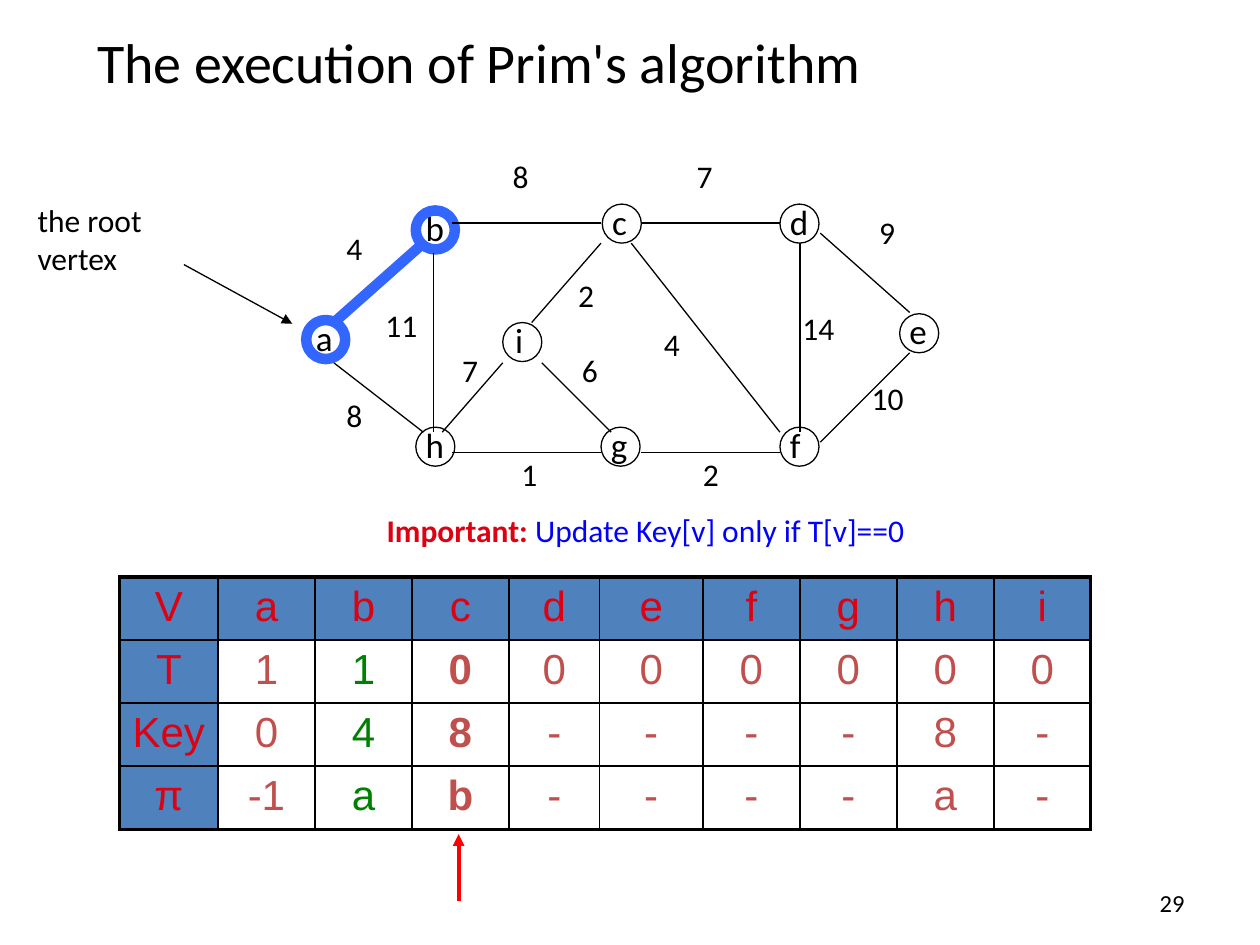
"""Build the slide that shows one step of Prim's algorithm on a weighted graph."""
from dataclasses import dataclass
from typing import Any

from lxml import etree
from pptx import Presentation, util as u
from pptx.dml.color import RGBColor
from pptx.enum import shapes, text
from pptx.oxml import ns

BLACK = RGBColor(0x00, 0x00, 0x00)
RED = RGBColor(0xFF, 0x00, 0x00)
CRIMSON = RGBColor(0xDD, 0x01, 0x11)
BRICK = RGBColor(0xC0, 0x50, 0x4D)
GREEN = RGBColor(0x00, 0x80, 0x00)
BLUE = RGBColor(0x00, 0x00, 0xFF)
TREE_BLUE = RGBColor(0x33, 0x66, 0xFF)
HEADER_BLUE = RGBColor(0x4F, 0x81, 0xBD)

THIN, MEDIUM, THICK = 0.75, 2.25, 6
NODE_SIZE = 0.31
BODY_FORMAT = {"name": "Calibri", "size": u.Pt(18)}
NODE_FORMAT = {"name": "Calibri", "size": u.Pt(20)}
TITLE_FORMAT = {"name": "Calibri", "size": u.Pt(32)}
NUMBER_FORMAT = {"name": "Calibri", "size": u.Pt(14)}
TABLE_FORMAT = {"name": "Arial", "size": u.Pt(24)}


@dataclass(frozen=True)
class Node:
    name: str
    left: float
    top: float
    in_tree: bool = False
    label_shift: float = -0.02


@dataclass(frozen=True)
class Edge:
    start: tuple[float, float]
    end: tuple[float, float]
    weight: str
    label: tuple[float, float]
    in_tree: bool = False


NODES = (
    Node("a", 2.43, 2.54, in_tree=True),
    Node("b", 3.3, 1.67, in_tree=True),
    Node("h", 3.3, 3.39),
    Node("c", 4.78, 1.62),
    Node("d", 6.19, 1.62),
    Node("e", 7.14, 2.49),
    Node("f", 6.19, 3.39),
    Node("g", 4.77, 3.39),
    Node("i", 3.99, 2.56, label_shift=0),
)
EDGES = (
    Edge((2.65, 2.56), (3.36, 1.93), "4", (2.65, 1.77), in_tree=True),
    Edge((2.65, 2.88), (3.36, 3.43), "8", (2.65, 3.09)),
    Edge((3.44, 2.01), (3.44, 3.43), "11", (2.96, 2.38)),
    Edge((3.59, 1.77), (4.77, 1.77), "8", (3.97, 1.2)),
    Edge((3.59, 3.59), (4.77, 3.59), "1", (4.04, 3.56)),
    Edge((5.09, 3.59), (6.19, 3.59), "2", (5.48, 3.56)),
    Edge((5.01, 1.93), (6.19, 3.43), "4", (5.17, 2.53)),
    Edge((5.09, 1.77), (6.19, 1.77), "7", (5.43, 1.2)),
    Edge((6.35, 1.93), (6.35, 3.43), "14", (6.27, 2.4)),
    Edge((6.51, 1.85), (7.22, 2.48), "9", (6.88, 1.64)),
    Edge((6.51, 3.51), (7.22, 2.8), "10", (6.82, 2.96)),
    Edge((4.3, 2.88), (4.85, 3.43), "6", (4.52, 2.74)),
    Edge((3.51, 3.43), (3.99, 2.88), "7", (3.57, 2.74)),
    Edge((4.22, 2.56), (4.77, 1.93), "2", (4.49, 2.14)),
)
TABLE_ROWS = (
    ("V", *"abcdefghi"),
    ("T", *"110000000"),
    ("Key", *"048----8-"),
    ("π", "-1", *"ab----a-"),
)
COLUMN_WIDTHS = (0.78, 0.77, 0.77, 0.77, 0.72, 0.82, 0.77, 0.77, 0.77, 0.77)
ROW_HEIGHT = 0.5
DONE_COLUMN, CURRENT_COLUMN = 2, 3


def apply_format(target: Any, values: dict[str, Any]) -> None:
    for name, value in values.items():
        setattr(target, name, value)


def place(shape: Any, *lengths: float) -> None:
    names = ("left", "top", "width", "height")
    apply_format(shape, dict(zip(names, map(u.Inches, lengths))))


def add_span(para: Any, words: str, values: dict[str, Any], color: RGBColor = BLACK) -> None:
    span = para.add_run()
    span.text = words
    apply_format(span.font, values)
    span.font.color.rgb = color


def add_text(page: Any, words: str, at: tuple[float, ...], values: dict[str, Any],
             color: RGBColor = BLACK, wrap: bool = True) -> Any:
    box = page.shapes.add_textbox(*map(u.Inches, at))
    box.text_frame.word_wrap = wrap
    para = box.text_frame.paragraphs[0]
    add_span(para, words, values, color)
    return para


def add_line(page: Any, start: tuple[float, float], end: tuple[float, float],
             color: RGBColor = BLACK, width: float = THIN, arrow: bool = False) -> None:
    line = page.shapes.add_connector(shapes.MSO_CONNECTOR.STRAIGHT, *map(u.Inches, start + end))
    line.line.color.rgb = color
    line.line.width = u.Pt(width)
    properties = line._element.spPr
    if arrow:
        etree.SubElement(properties.find(ns.qn("a:ln")), ns.qn("a:tailEnd"), type="triangle")
    etree.SubElement(properties, ns.qn("a:effectLst"))


def add_node(page: Any, node: Node) -> None:
    add_text(page, node.name, (node.left + node.label_shift, node.top - 0.08, 0.36, 0.43),
             NODE_FORMAT, wrap=False)
    ring = page.shapes.add_shape(shapes.MSO_SHAPE.OVAL, 0, 0, 0, 0)
    place(ring, node.left, node.top, NODE_SIZE, NODE_SIZE)
    ring.shadow.inherit = False
    ring.fill.background()
    ring.line.color.rgb = TREE_BLUE if node.in_tree else BLACK
    ring.line.width = u.Pt(THICK if node.in_tree else THIN)


def add_border(cell: Any, side: str, width: float) -> None:
    line = etree.SubElement(cell._tc.get_or_add_tcPr(), ns.qn(f"a:ln{side}"), w=str(u.Pt(width)))
    fill = etree.SubElement(line, ns.qn("a:solidFill"))
    etree.SubElement(fill, ns.qn("a:srgbClr"), val=str(BLACK))


def fill_cell(cell: Any, words: str, row: int, column: int) -> None:
    is_header = row == 0 or column == 0
    outer = {"L": column == 0, "R": column == len(COLUMN_WIDTHS) - 1,
             "T": row == 0, "B": row == len(TABLE_ROWS) - 1}
    for side, is_outer in outer.items():
        add_border(cell, side, MEDIUM if is_outer else 1)
    if is_header:
        cell.fill.solid()
        cell.fill.fore_color.rgb = HEADER_BLUE
    else:
        cell.fill.background()
    color = CRIMSON if is_header else GREEN if column == DONE_COLUMN else BRICK
    bold = column == CURRENT_COLUMN and not is_header
    para = cell.text_frame.paragraphs[0]
    para.alignment = text.PP_ALIGN.CENTER
    add_span(para, words, {**TABLE_FORMAT, "bold": bold}, color)


def add_state_table(page: Any) -> None:
    frame = page.shapes.add_table(
        len(TABLE_ROWS), len(COLUMN_WIDTHS), u.Inches(0.95), u.Inches(4.58),
        u.Inches(sum(COLUMN_WIDTHS)), u.Inches(ROW_HEIGHT * len(TABLE_ROWS)))
    table = frame.table
    apply_format(table, {"first_row": False, "horz_banding": False})
    for column, width in zip(table.columns, COLUMN_WIDTHS):
        column.width = u.Inches(width)
    for row, values in enumerate(TABLE_ROWS):
        for column, words in enumerate(values):
            fill_cell(table.cell(row, column), words, row, column)


def add_title(page: Any, words: str) -> None:
    title = page.shapes.title
    place(title, 0.67, 0.17, 8.58, 0.63)
    apply_format(title.text_frame, {"vertical_anchor": text.MSO_ANCHOR.TOP,
                                    "auto_size": text.MSO_AUTO_SIZE.NONE})
    para = title.text_frame.paragraphs[0]
    para.alignment = text.PP_ALIGN.LEFT
    add_span(para, words, TITLE_FORMAT)


def main() -> None:
    deck = Presentation()
    apply_format(deck, {"slide_width": u.Inches(10), "slide_height": u.Inches(7.5)})
    page = deck.slides.add_slide(deck.slide_layouts.get_by_name("Title Only"))
    add_title(page, "The execution of Prim's algorithm")
    number = add_text(page, "29", (7.17, 7, 2.33, 0.35), NUMBER_FORMAT)
    number.alignment = text.PP_ALIGN.RIGHT
    add_text(page, "the root vertex", (0.2, 1.55, 1.34, 0.9), BODY_FORMAT)
    add_line(page, (1.46, 2.1), (2.32, 2.57), arrow=True)
    add_state_table(page)
    for node in NODES:
        add_node(page, node)
    for edge in EDGES:
        color, width = (TREE_BLUE, THICK) if edge.in_tree else (BLACK, THIN)
        add_line(page, edge.start, edge.end, color, width)
    for edge in EDGES:
        label_width = 0.2 + 0.14 * len(edge.weight)
        add_text(page, edge.weight, (*edge.label, label_width, 0.4), BODY_FORMAT, wrap=False)
    add_line(page, (3.64, 7.15), (3.64, 6.62), RED, MEDIUM, arrow=True)
    note = add_text(page, "Important: ", (2.97, 4.01, 7.03, 0.41),
                    {**BODY_FORMAT, "bold": True}, CRIMSON)
    add_span(note, "Update Key[v] only if T[v]==0", BODY_FORMAT, BLUE)
    deck.save("out.pptx")


if __name__ == "__main__":
    main()
